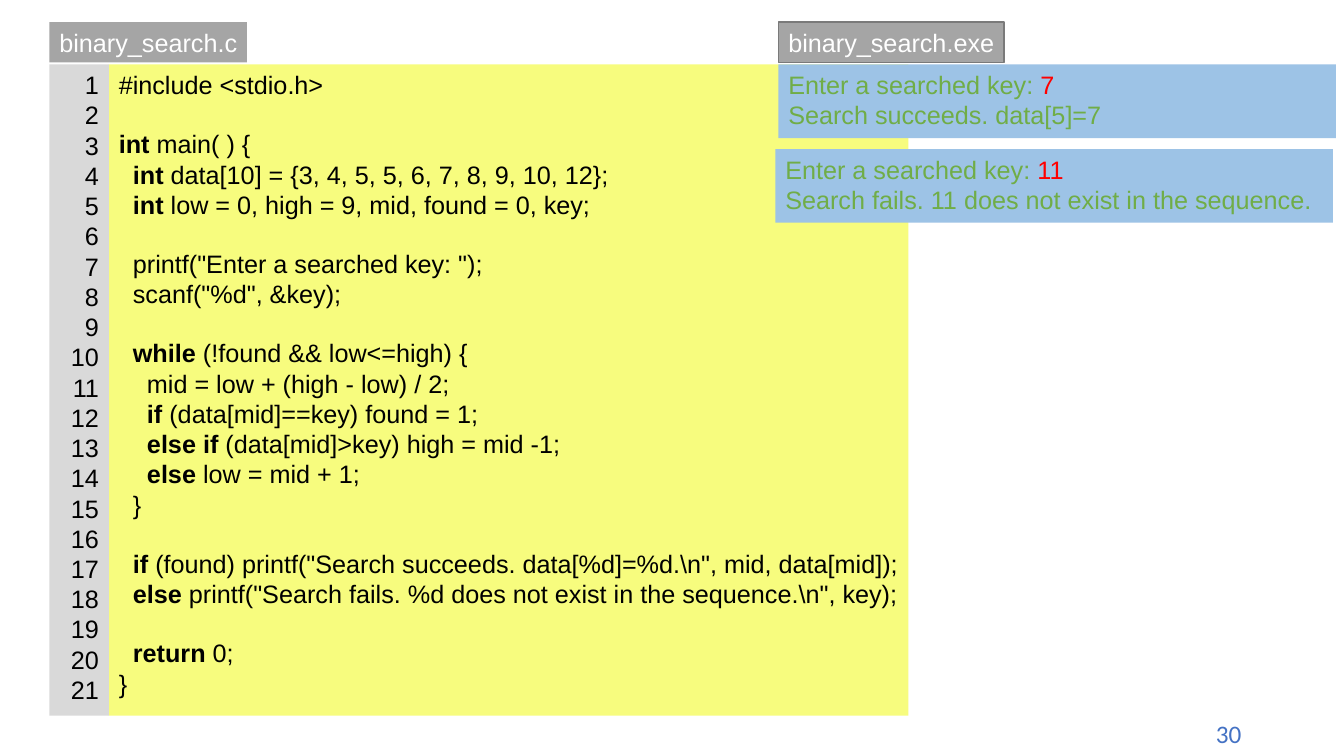
"""Slide with a numbered binary search listing and two sample runs."""
from pptx import Presentation
from pptx.dml.color import RGBColor
from pptx.enum.shapes import MSO_SHAPE
from pptx.enum.text import MSO_ANCHOR, PP_ALIGN
from pptx.util import Inches, Pt

RECT = MSO_SHAPE.RECTANGLE
TOP = MSO_ANCHOR.TOP
LEFT, RIGHT = PP_ALIGN.LEFT, PP_ALIGN.RIGHT

THEME = dict(font="Arial", foot="Calibri", size=18, line=20.7, space=0.07,
             tab="A5A5A5", edge="7A7A7A", code="F7FC7E", gutter="D9D9D9",
             run="9DC3E6", white="FFFFFF", ink="000000", green="70AD47",
             red="FF0000", blue="4472C4")

CODE = r"""#include <stdio.h>

|int |main( ) {
  |int |data[10] = {3, 4, 5, 5, 6, 7, 8, 9, 10, 12};
  |int |low = 0, high = 9, mid, found = 0, key;

  printf("Enter a searched key: ");
  scanf("%d", &key);

  |while |(!found && low<=high) {
    mid = low + (high - low) / 2;
    |if |(data[mid]==key) found = 1;
    |else if |(data[mid]>key) high = mid -1;
    |else |low = mid + 1;
  }

  |if |(found) printf("Search succeeds. data[%d]=%d.\n", mid, data[mid]);
  |else |printf("Search fails. %d does not exist in the sequence.\n", key);

  |return |0;
}"""
COUNT = len(CODE.split("\n"))
NUMS = "\n".join(str(n) for n in range(1, COUNT + 1))
RUNS = ["Enter a searched key: |7|\nSearch succeeds. data[5]=7",
        "Enter a searched key: |11|\n"
        "Search fails. 11 does not exist in the sequence."]

COL = dict(num=0.49, code=1.08, run=7.72, low=7.69)
ROW = dict(tab=0.22, body=0.64, low=1.48)
TAB_H, BODY_H, RUN_H, RUN_W = 0.4, 6.46, 0.73, 5.53


def paint(name):
    return RGBColor.from_string(THEME[name])


def panel(x, y, w, h, fill, text, ink, accent=None, align=LEFT, wrap=False):
    """Draw a filled box; text between bars is bold, or in the accent colour."""
    box = deck.shapes.add_shape(RECT, Inches(x), Inches(y), Inches(w), Inches(h))
    box.shadow.inherit = False
    box.fill.solid()
    box.fill.fore_color.rgb = paint(fill)
    box.line.fill.background()
    frame = box.text_frame
    frame.word_wrap = wrap
    frame.vertical_anchor = TOP
    gap, first = 0, True
    for line in text.split("\n"):
        if not line:
            gap += 1
            continue
        par = frame.paragraphs[0] if first else frame.add_paragraph()
        first = False
        par.alignment = align
        par.space_before = Pt(gap * THEME["line"])
        gap = 0
        body = line.lstrip()
        depth = len(line) - len(body)
        if depth:
            props = par._p.get_or_add_pPr()
            props.set("marL", str(Inches(depth * THEME["space"])))
            props.set("indent", "0")
        for i, part in enumerate(body.split("|")):
            if not part:
                continue
            run = par.add_run()
            run.text = part
            marked = i % 2 == 1
            run.font.name = THEME["font"]
            run.font.size = Pt(THEME["size"])
            run.font.bold = marked and accent is None
            run.font.color.rgb = paint(accent if marked and accent else ink)
    return box


show = Presentation()
show.slide_width, show.slide_height = Inches(13.33), Inches(7.5)
deck = show.slides.add_slide(show.slide_layouts[6])

foot = deck.shapes.add_textbox(Inches(10.84), Inches(7.08), Inches(1.57), Inches(TAB_H))
foot.text_frame.word_wrap = True
foot.text_frame.text = "30"
page = foot.text_frame.paragraphs[0]
page.alignment = RIGHT
page.runs[0].font.name = THEME["foot"]
page.runs[0].font.size = Pt(THEME["size"])
page.runs[0].font.color.rgb = paint("blue")

panel(COL["num"], ROW["tab"], 1.96, TAB_H, "tab", "binary_search.c", "white")
panel(COL["code"], ROW["body"], 7.93, BODY_H, "code", CODE, "ink")
panel(COL["num"], ROW["body"], COL["code"] - COL["num"], BODY_H, "gutter",
      NUMS, "ink", align=RIGHT, wrap=True)

for x, y, text in zip((COL["run"], COL["low"]), (ROW["body"], ROW["low"]), RUNS):
    panel(x, y, RUN_W, RUN_H, "run", text, "green", accent="red")

title = panel(COL["run"], ROW["tab"], 2.24, TAB_H, "tab", "binary_search.exe", "white")
title.line.color.rgb = paint("edge")
title.line.width = Pt(1)

show.save("out.pptx")
